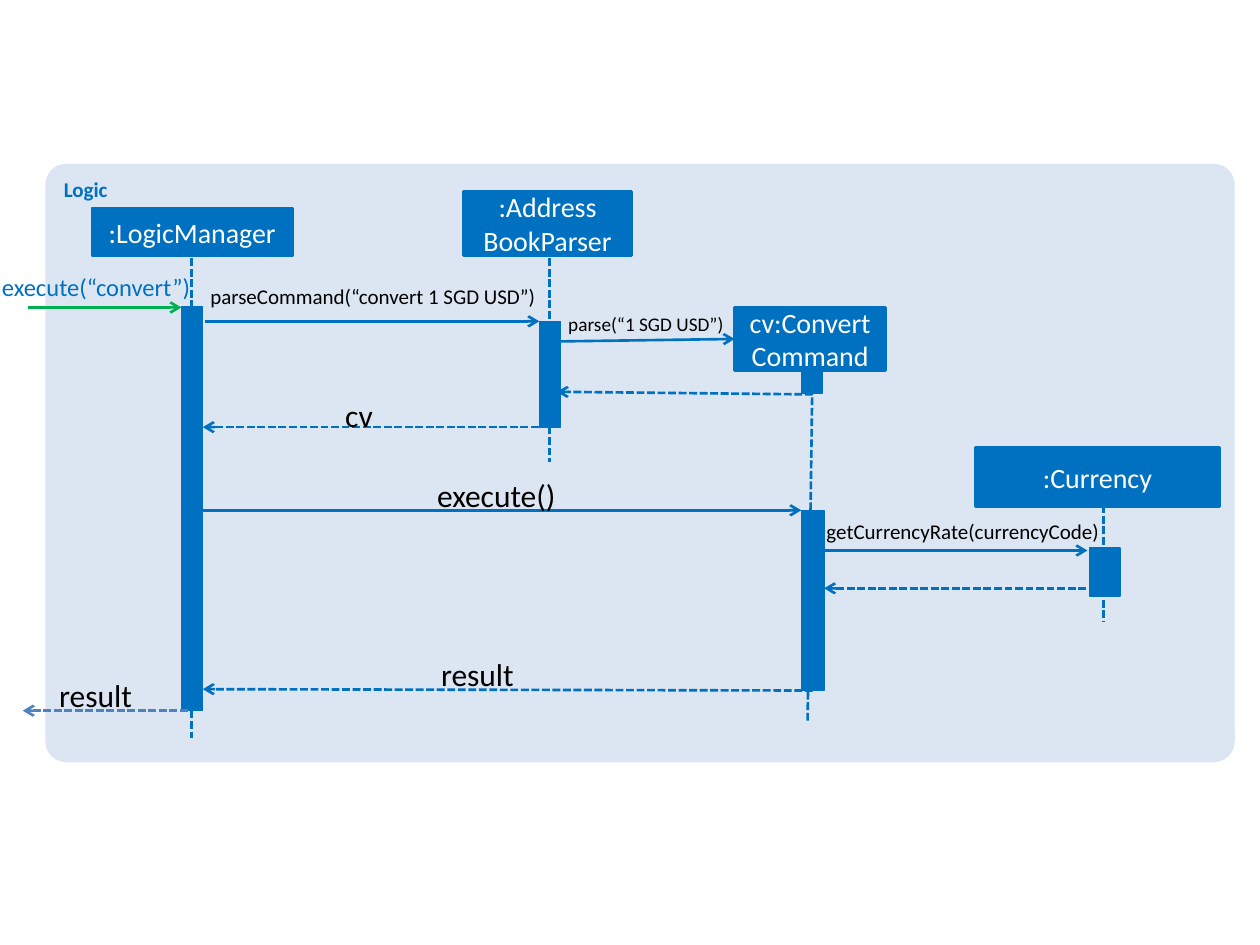
from dataclasses import dataclass

from lxml import etree
from pptx import Presentation
from pptx.dml.color import RGBColor
from pptx.enum.dml import MSO_LINE
from pptx.enum.shapes import MSO_CONNECTOR, MSO_SHAPE
from pptx.enum.text import MSO_ANCHOR, PP_ALIGN
from pptx.oxml.ns import qn
from pptx.util import Pt

RECTANGLE = MSO_SHAPE.RECTANGLE
ROUNDED = MSO_SHAPE.ROUNDED_RECTANGLE
STRAIGHT = MSO_CONNECTOR.STRAIGHT
DASHED = MSO_LINE.SQUARE_DOT
TOP, MIDDLE = MSO_ANCHOR.TOP, MSO_ANCHOR.MIDDLE
LEFT, CENTER, RIGHT = PP_ALIGN.LEFT, PP_ALIGN.CENTER, PP_ALIGN.RIGHT

FONT = "Calibri"
BLUE, PALE, GREEN, STEEL = "0070C0", "DCE6F2", "00B050", "4F81BD"
WHITE, BLACK = "FFFFFF", "000000"


@dataclass(frozen=True)
class Box:
    left: float
    top: float
    width: float
    height: float


@dataclass(frozen=True)
class Participant:
    name: str
    box: Box


@dataclass(frozen=True)
class Line:
    start: tuple[float, float]
    end: tuple[float, float]
    dashed: bool = False
    color: str = BLUE


@dataclass(frozen=True)
class Label:
    text: str
    box: Box
    size: float = 18
    color: str = BLACK
    align: PP_ALIGN = LEFT


PANEL = Box(25.9, 93.6, 679.7, 342)

PARTICIPANTS = [
    Participant(":LogicManager", Box(52.6, 118.8, 114.5, 27.4)),
    Participant(":Address\nBookParser", Box(265, 109.4, 95.8, 36.7)),
    Participant("cv:Convert\vCommand", Box(419.8, 175.7, 86.4, 36)),
    Participant(":Currency", Box(557.3, 255.6, 139.7, 33.8)),
]

LIFELINES = [
    Line((109.6, 147.6), (109.6, 421.9), True),
    Line((313.9, 147.6), (313.9, 264.2), True),
    Line((464.4, 203), (461.5, 411.8), True),
    Line((630.7, 288.7), (630.7, 355), True),
]

ACTIVATIONS = [
    Box(103.7, 175, 12.2, 231.1),
    Box(308.2, 183.6, 12.2, 60.5),
    Box(457.9, 203, 12.2, 21.6),
    Box(457.9, 291.6, 13, 103),
    Box(622.8, 313.2, 17.3, 27.4),
]

MESSAGES = [
    Line((15.8, 175.7), (103.7, 175.7), color=GREEN),
    Line((117.4, 183.6), (308.2, 183.6)),
    Line((320.4, 195.1), (419.8, 193.7)),
    Line((464.4, 225.4), (318.2, 223.9), True),
    Line((313.9, 244.1), (115.9, 244.1), True),
    Line((115.9, 291.6), (457.9, 291.6)),
    Line((470.9, 314.6), (621.4, 314.6)),
    Line((620.6, 336.2), (470.9, 336.2), True),
    Line((464.4, 394.6), (115.9, 393.8), True),
    Line((107.3, 406.1), (13, 406.1), True, STEEL),
]

LABELS = [
    Label("execute(“convert”)", Box(-3.6, 155.5, 112.3, 17.3), 14, BLUE, RIGHT),
    Label("parseCommand(“convert 1 SGD USD”)", Box(120.2, 162, 191.5, 14.4), 12),
    Label("parse(“1 SGD USD”)", Box(324.7, 178.6, 97.2, 13.7), 11),
    Label("cv", Box(197.3, 226.1, 17.3, 21.6)),
    Label("execute()", Box(249.8, 272.2, 84.2, 21.6)),
    Label("getCurrencyRate(currencyCode)", Box(472.3, 296.6, 158.4, 14.4), 12),
    Label("result", Box(252, 374.4, 49, 17.3)),
    Label("result", Box(33.8, 386.6, 59.8, 17.3)),
]


def rgb(color: str) -> RGBColor:
    return RGBColor.from_string(color)


def place(box: Box) -> tuple[Pt, Pt, Pt, Pt]:
    return Pt(box.left), Pt(box.top), Pt(box.width), Pt(box.height)


def write(shape, text: str, size: float, color: str,
          align: PP_ALIGN, anchor: MSO_ANCHOR, bold: bool = False) -> None:
    frame = shape.text_frame
    frame.text = text
    frame.word_wrap = True
    frame.vertical_anchor = anchor
    for paragraph in frame.paragraphs:
        paragraph.alignment = align
        for run in paragraph.runs:
            run.font.name = FONT
            run.font.size = Pt(size)
            run.font.bold = bold
            run.font.color.rgb = rgb(color)


def draw_block(slide, box: Box, line_width: float, fill: str = BLUE, kind=RECTANGLE):
    shape = slide.shapes.add_shape(kind, *place(box))
    shape.shadow.inherit = False
    shape.fill.solid()
    shape.fill.fore_color.rgb = rgb(fill)
    if line_width:
        shape.line.color.rgb = rgb(fill)
        shape.line.width = Pt(line_width)
    else:
        shape.line.fill.background()
    return shape


def draw_line(slide, line: Line, arrow: bool) -> None:
    ends = [Pt(value) for value in (*line.start, *line.end)]
    connector = slide.shapes.add_connector(STRAIGHT, *ends)
    connector.line.color.rgb = rgb(line.color)
    connector.line.width = Pt(1.5)
    if line.dashed:
        connector.line.dash_style = DASHED
    properties = connector.element.spPr
    if arrow:
        outline = properties.find(qn("a:ln"))
        etree.SubElement(outline, qn("a:tailEnd"), type="arrow")
    etree.SubElement(properties, qn("a:effectLst"))


def draw_label(slide, label: Label) -> None:
    text_box = slide.shapes.add_textbox(*place(label.box))
    frame = text_box.text_frame
    frame.margin_left = frame.margin_right = Pt(0)
    frame.margin_top = frame.margin_bottom = Pt(0)
    write(text_box, label.text, label.size, label.color, label.align, TOP)


def main() -> None:
    presentation = Presentation()
    presentation.slide_width, presentation.slide_height = Pt(720), Pt(540)
    slide = presentation.slides.add_slide(presentation.slide_layouts[6])

    panel = draw_block(slide, PANEL, 0, PALE, ROUNDED)
    panel.adjustments[0] = 0.035
    write(panel, "Logic", 12, BLUE, LEFT, TOP, bold=True)

    for lifeline in LIFELINES:
        draw_line(slide, lifeline, arrow=False)
    for activation in ACTIVATIONS:
        draw_block(slide, activation, 0.75)
    for participant in PARTICIPANTS:
        head = draw_block(slide, participant.box, 1.5)
        write(head, participant.name, 16, WHITE, CENTER, MIDDLE)
    for message in MESSAGES:
        draw_line(slide, message, arrow=True)
    for label in LABELS:
        draw_label(slide, label)

    presentation.save("out.pptx")


if __name__ == "__main__":
    main()
